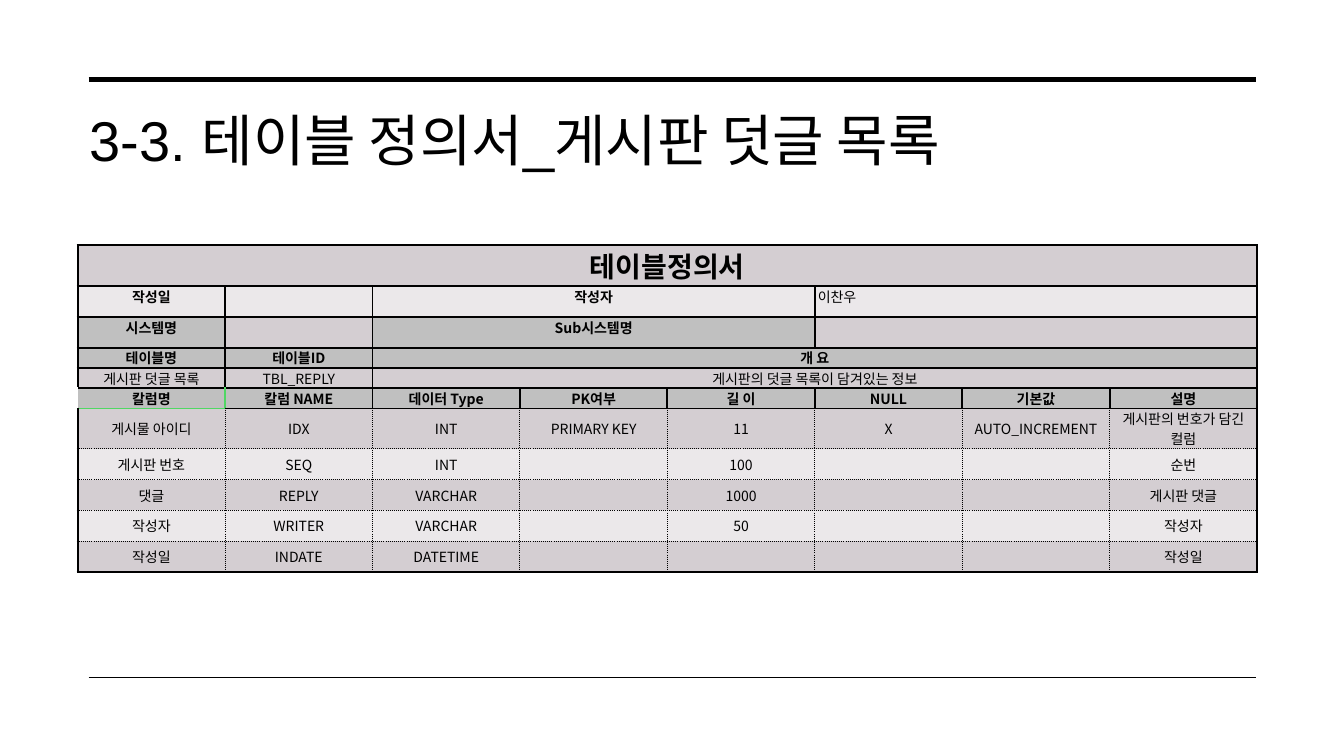
from lxml import etree
from pptx import Presentation
from pptx.dml.color import RGBColor
from pptx.enum import shapes, text
from pptx.oxml import ns
from pptx.util import Inches, Pt

HUES = {"ink": "000000", "dark": "D4CED2", "light": "EBE8EA",
        "label": "C0C0C0", "green": "50D764"}
FONT = "Noto Sans CJK KR"

# Table content: text by row, starting column of each cell
ROWS = [
    {0: "테이블정의서"},
    {0: "작성일", 2: "작성자", 5: "이찬우"},
    {0: "시스템명", 2: "Sub시스템명"},
    {0: "테이블명", 1: "테이블ID", 2: "개 요"},
    {0: "게시판 덧글 목록", 1: "TBL_REPLY", 2: "게시판의 덧글 목록이 담겨있는 정보"},
    dict(enumerate(["칼럼명", "칼럼 NAME", "데이터 Type", "PK여부",
                    "길 이", "NULL", "기본값", "설명"])),
    dict(enumerate(["게시물 아이디", "IDX", "INT", "PRIMARY KEY", "11", "X",
                    "AUTO_INCREMENT", "게시판의 번호가 담긴 컬럼"])),
    {0: "게시판 번호", 1: "SEQ", 2: "INT", 4: "100", 7: "순번"},
    {0: "댓글", 1: "REPLY", 2: "VARCHAR", 4: "1000", 7: "게시판 댓글"},
    {0: "작성자", 1: "WRITER", 2: "VARCHAR", 4: "50", 7: "작성자"},
    {0: "작성일", 1: "INDATE", 2: "DATETIME", 7: "작성일"},
]
TALL = [0.41, 0.28, 0.28, 0.2, 0.2, 0.2, 0.4, 0.28, 0.28, 0.28, 0.28]
COLS = 8
HEAD = 5  # row of column names
# First and last column of the merged cells, by row
SPANS = {0: [(0, 7)], 1: [(2, 4), (5, 7)], 2: [(2, 4), (5, 7)],
         3: [(2, 7)], 4: [(2, 7)]}
GREEN = {(HEAD, 0, "R"), (HEAD, 0, "B"), (HEAD, 1, "L"), (HEAD + 1, 0, "T")}


def hue(name):
    return RGBColor.from_string(HUES[name])


def style(run, size, face, bold=False):
    run.font.size = Pt(size)
    run.font.name = face
    run.font.bold = bold
    run.font.color.rgb = hue("ink")
    east = etree.SubElement(run.font._element, ns.qn("a:ea"))
    east.set("typeface", FONT)


def add_rule(slide, y, width):
    line = slide.shapes.add_connector(
        shapes.MSO_CONNECTOR.STRAIGHT,
        Inches(0.88), Inches(y), Inches(12.46), Inches(y))
    line.line.color.rgb = hue("ink")
    line.line.width = Pt(width)
    etree.SubElement(line._element.spPr, ns.qn("a:effectLst"))


def add_title(slide, words):
    title = slide.shapes.title
    title.left, title.top = Inches(0.77), Inches(1)
    title.width, title.height = Inches(11.69), Inches(1.43)
    frame = title.text_frame
    frame.text = words
    frame.auto_size = text.MSO_AUTO_SIZE.NONE
    frame.vertical_anchor = text.MSO_ANCHOR.TOP
    frame.margin_left = frame.margin_right = frame.margin_top = Inches(0.12)
    frame.margin_bottom = Inches(0.1)
    para = frame.paragraphs[0]
    para.alignment = text.PP_ALIGN.LEFT
    para.line_spacing = 0.9
    style(para.runs[0], 40, "Arial")


def add_edges(cell, row, col):
    outer = {"L": col == 0, "R": col == COLS - 1,
             "T": row == HEAD + 1, "B": row == len(ROWS) - 1}
    props = cell._tc.get_or_add_tcPr()
    for side in "LRTB":
        if (row, col, side) == (HEAD, 0, "L"):
            continue  # the first column name is open on the left
        solid = row <= HEAD or outer[side]
        edge = etree.SubElement(props, ns.qn("a:ln" + side))
        edge.set("w", str(Pt(1.5 if solid else 0.75)))
        fill = etree.SubElement(edge, ns.qn("a:solidFill"))
        tint = "green" if (row, col, side) in GREEN else "ink"
        etree.SubElement(fill, ns.qn("a:srgbClr")).set("val", HUES[tint])
        dash = etree.SubElement(edge, ns.qn("a:prstDash"))
        dash.set("val", "solid" if solid else "sysDot")


def fill_cell(cell, row, col):
    words = ROWS[row].get(col, "")
    bold = bool(words) and (row in (0, 3, HEAD) or row in (1, 2) and col < 5)
    add_edges(cell, row, col)
    cell.fill.solid()
    band = "light" if row % 2 else "dark"
    cell.fill.fore_color.rgb = hue("label" if bold and row > 1 else band)
    cell.margin_left = cell.margin_right = Inches(0.03)
    cell.margin_top = cell.margin_bottom = 0
    if row > HEAD:
        cell.vertical_anchor = text.MSO_ANCHOR.MIDDLE
    if words:
        cell.text_frame.text = words
        para = cell.text_frame.paragraphs[0]
        left = (row, col) == (1, 5)  # the author's name
        para.alignment = text.PP_ALIGN.LEFT if left else text.PP_ALIGN.CENTER
        style(para.runs[0], 10 if row else 20, FONT, bold)


def add_grid(slide):
    frame = slide.shapes.add_table(
        len(ROWS), COLS, Inches(0.77), Inches(2.43),
        Inches(11.7), Inches(sum(TALL)))
    grid = frame.table
    grid.first_row = grid.horz_banding = False
    for row, tall in enumerate(TALL):
        grid.rows[row].height = Inches(tall)
        for col in range(COLS):
            fill_cell(grid.cell(row, col), row, col)
        for first, last in SPANS.get(row, []):
            grid.cell(row, first).merge(grid.cell(row, last))


def main():
    deck = Presentation()
    deck.slide_width, deck.slide_height = Inches(13.33), Inches(7.5)
    slide = deck.slides.add_slide(deck.slide_layouts[5])
    # Rules above and below
    add_rule(slide, 0.79, 3.5)
    add_rule(slide, 6.72, 1)
    # Title and table
    add_title(slide, "3-3. 테이블 정의서_게시판 덧글 목록")
    add_grid(slide)
    deck.save("out.pptx")


if __name__ == "__main__":
    main()
